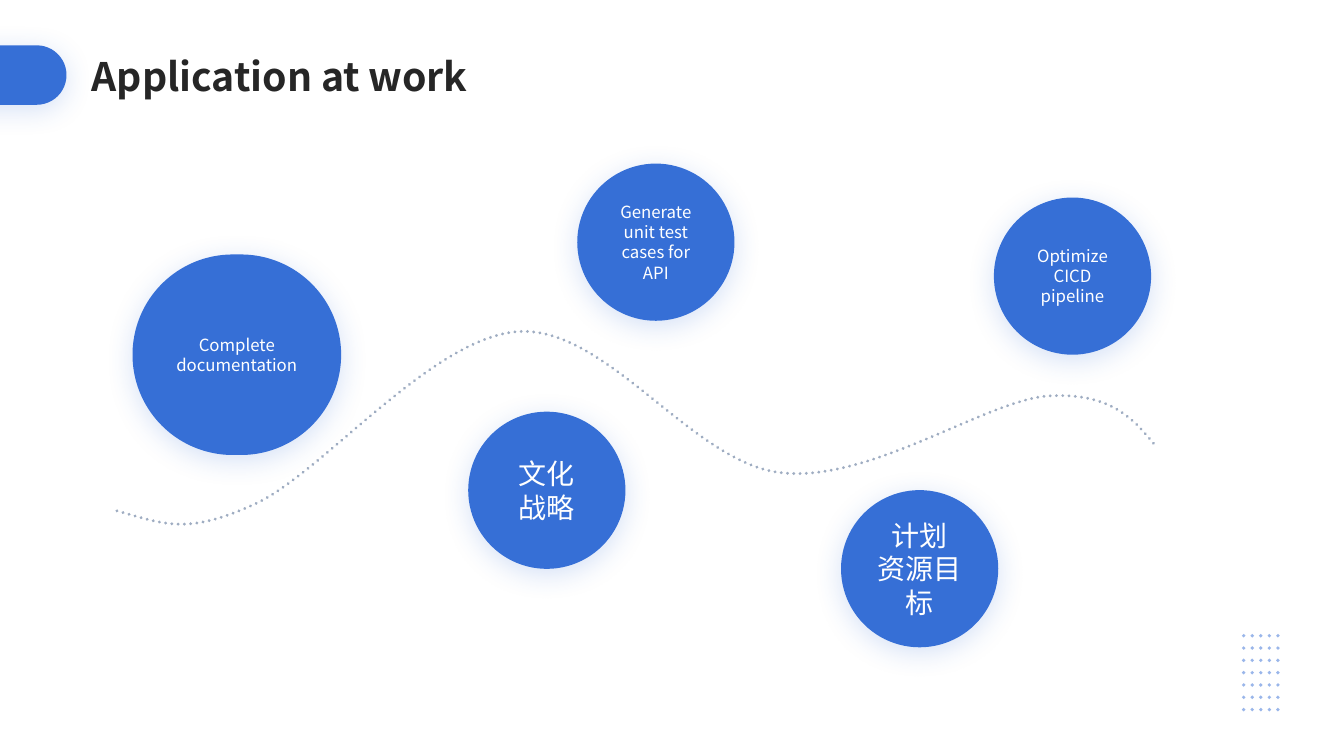
"""Build the "Application at work" slide: topic circles along a dotted wave."""
from dataclasses import dataclass
from itertools import product

from lxml.etree import SubElement
from pptx import Presentation
from pptx.dml.color import RGBColor as Color
from pptx.enum.dml import MSO_LINE_DASH_STYLE as Dash
from pptx.enum.shapes import MSO_AUTO_SHAPE_TYPE as ShapeKind
from pptx.enum.text import MSO_ANCHOR as Anchor, MSO_AUTO_SIZE as AutoSize, PP_ALIGN as Align
from pptx.oxml.ns import qn
from pptx.shapes.autoshape import Shape
from pptx.slide import Slide
from pptx.util import Inches, Length, Pt

SLIDE_WIDTH, SLIDE_HEIGHT = Inches(13.33), Inches(7.5)
GRID_COLUMNS = 80
CELL = SLIDE_WIDTH / GRID_COLUMNS
Point = tuple[float, float]
Curve = tuple[Point, Point, Point]


@dataclass(frozen=True)
class Theme:
    font: str = "Noto Sans CJK SC"
    accent: Color = Color.from_string("366FD6")
    ink: Color = Color.from_string("262626")
    paper: Color = Color.from_string("FFFFFF")
    trail: Color = Color.from_string("9FADC2")
    title: Length = Pt(28)
    large: Length = Pt(20)
    small: Length = Pt(12)
    trail_width: Length = Pt(2.25)
    shadow_blur: Length = Pt(20)
    shadow_distance: Length = Pt(4)
    shadow_opacity: int = 20
    dot_opacity: int = 50


@dataclass(frozen=True)
class Frame:
    column: float
    row: float
    columns: float = 9.36
    rows: float = 9.36

    def box(self) -> list[int]:
        return [cells(n) for n in (self.column, self.row, self.columns, self.rows)]


@dataclass(frozen=True)
class Topic:
    text: str
    frame: Frame
    size: Length


@dataclass(frozen=True)
class Contour:
    start: Point
    curves: list[Curve]
    closed: bool


THEME = Theme()
TITLE = Frame(4.86, 2.82, 27.66, 3.42)
TAB = Frame(-3.12, 2.7, 7.08, 3.54)
TOPICS = [
    Topic("Complete documentation", Frame(7.89, 15.15, 12.42, 11.94), THEME.small),
    Topic("文化\n战略", Frame(27.87, 24.51), THEME.large),
    Topic("Generate unit test cases for API", Frame(34.36, 9.74), THEME.small),
    Topic("计划\n资源目标", Frame(50.06, 29.18), THEME.large),
    Topic("Optimize CICD pipeline", Frame(59.16, 11.76), THEME.small),
]
WAVE_FRAME = Frame(6.96, 19.74, 61.8, 11.46)
WAVE = Contour((6.96, 30.42), [
    ((9.78, 31.2), (11.1, 31.86), (15.06, 30.06)),
    ((19.08, 28.32), (25.68, 20.04), (30.9, 19.74)),
    ((36.12, 19.44), (41.22, 27.54), (46.44, 28.14)),
    ((51.66, 28.8), (58.62, 23.88), (62.34, 23.58)),
    ((66.06, 23.34), (67.44, 24.9), (68.76, 26.52)),
], closed=False)
DOTS_FRAME = Frame(73.92, 37.74, 2.26, 4.62)
DOT_COLUMNS, DOT_ROWS, DOT_RADIUS = 5, 7, 0.11
ROUND_HANDLE = 0.55


def cells(count: float) -> int:
    return round(count * CELL)


def add_alpha(color_element, percent: int) -> None:
    SubElement(color_element, qn("a:alpha"), val=str(percent * 1000))


def paint(shape: Shape, color: Color) -> None:
    shape.shadow.inherit = False
    shape.fill.solid()
    shape.fill.fore_color.rgb = color
    shape.line.fill.background()


def write(shape: Shape, text: str, size: Length, color: Color, align: Align, bold: bool = False) -> None:
    frame = shape.text_frame
    frame.text = text
    frame.word_wrap = True
    for para in frame.paragraphs:
        para.alignment = align
        for span in para.runs:
            span.font.name, span.font.size, span.font.bold = THEME.font, size, bold
            span.font.color.rgb = color
            SubElement(span.font._element, qn("a:ea"), typeface=THEME.font)


def add_title(page: Slide, text: str) -> None:
    title = page.shapes.title
    title.left, title.top, title.width, title.height = TITLE.box()
    write(title, text, THEME.title, THEME.ink, Align.LEFT, bold=True)
    title.text_frame.vertical_anchor = Anchor.TOP
    title.text_frame.auto_size = AutoSize.SHAPE_TO_FIT_TEXT


def add_pill(page: Slide, frame: Frame) -> Shape:
    pill = page.shapes.add_shape(ShapeKind.ROUNDED_RECTANGLE, *frame.box())
    pill.adjustments[0] = 0.5
    paint(pill, THEME.accent)
    effects = pill.element.spPr.find(qn("a:effectLst"))
    glow = SubElement(
        effects, qn("a:outerShdw"), blurRad=str(THEME.shadow_blur),
        dist=str(THEME.shadow_distance), dir="5400000", algn="t", rotWithShape="0",
    )
    add_alpha(SubElement(glow, qn("a:srgbClr"), val=str(THEME.accent)), THEME.shadow_opacity)
    return pill


def add_topic(page: Slide, topic: Topic) -> None:
    circle = add_pill(page, topic.frame)
    write(circle, topic.text, topic.size, THEME.paper, Align.CENTER)
    circle.text_frame.vertical_anchor = Anchor.MIDDLE


def add_curved(page: Slide, frame: Frame, contours: list[Contour], color: Color) -> Shape:
    left, top, width, height = frame.box()
    builder = page.shapes.build_freeform(left, top)
    builder.add_line_segments([(left + width, top + height)], close=False)
    shape = builder.convert_to_shape()
    outline = next(shape.element.spPr.iter(qn("a:path")))
    for child in list(outline):
        outline.remove(child)

    def draw(tag: str, *points: Point) -> None:
        command = SubElement(outline, qn(tag))
        for x, y in points:
            SubElement(command, qn("a:pt"), x=str(cells(x) - left), y=str(cells(y) - top))

    for contour in contours:
        draw("a:moveTo", contour.start)
        for curve in contour.curves:
            draw("a:cubicBezTo", *curve)
        if contour.closed:
            draw("a:close")
    paint(shape, color)
    return shape


def add_wave(page: Slide) -> None:
    line = add_curved(page, WAVE_FRAME, [WAVE], THEME.paper).line
    line.color.rgb = THEME.trail
    line.width = THEME.trail_width
    line.dash_style = Dash.ROUND_DOT
    line._get_or_add_ln().set("cap", "rnd")


def dot(column: int, row: int) -> Contour:
    gap_x = (DOTS_FRAME.columns - 2 * DOT_RADIUS) / (DOT_COLUMNS - 1)
    gap_y = (DOTS_FRAME.rows - 2 * DOT_RADIUS) / (DOT_ROWS - 1)
    x = DOTS_FRAME.column + DOT_RADIUS + column * gap_x
    y = DOTS_FRAME.row + DOT_RADIUS + row * gap_y

    def at(across: float, down: float) -> Point:
        return x + across * DOT_RADIUS, y + down * DOT_RADIUS

    curves = []
    for a, b in ((1, 0), (0, 1), (-1, 0), (0, -1)):
        handles = at(a - b * ROUND_HANDLE, b + a * ROUND_HANDLE), at(a * ROUND_HANDLE - b, b * ROUND_HANDLE + a)
        curves.append((*handles, at(-b, a)))
    return Contour(at(1, 0), curves, closed=True)


def add_dots(page: Slide) -> None:
    contours = [dot(column, row) for row, column in product(range(DOT_ROWS), range(DOT_COLUMNS))]
    dots = add_curved(page, DOTS_FRAME, contours, THEME.accent)
    add_alpha(dots.element.spPr.find(qn("a:solidFill")).find(qn("a:srgbClr")), THEME.dot_opacity)


def main() -> None:
    deck = Presentation()
    deck.slide_width, deck.slide_height = SLIDE_WIDTH, SLIDE_HEIGHT
    page = deck.slides.add_slide(deck.slide_layouts.get_by_name("Title Only"))
    add_title(page, "Application at work")
    add_pill(page, TAB)
    add_dots(page)
    add_wave(page)
    for topic in TOPICS:
        add_topic(page, topic)
    deck.save("out.pptx")


if __name__ == "__main__":
    main()
